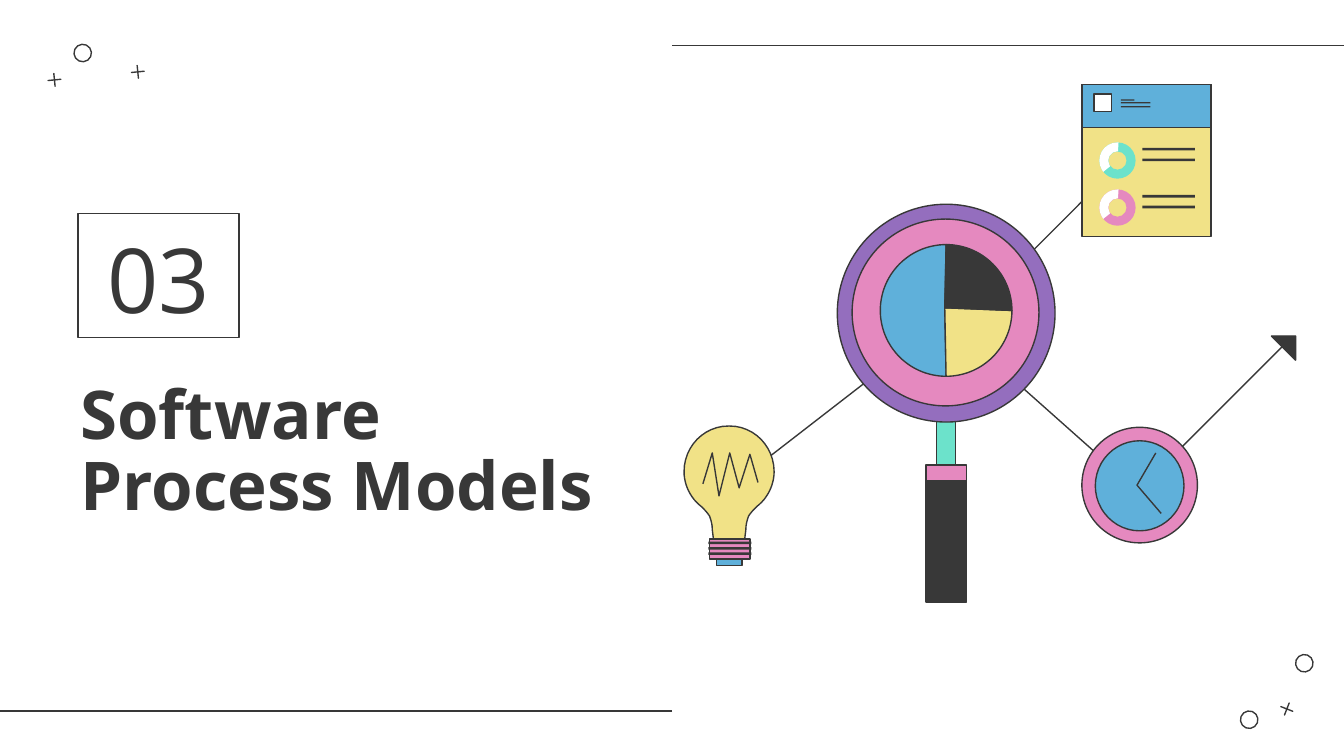
from dataclasses import dataclass
from math import cos, radians, sin
from typing import Optional

from lxml import etree
from pptx import Presentation
from pptx.dml.color import RGBColor
from pptx.enum.shapes import MSO_CONNECTOR, MSO_SHAPE
from pptx.enum.text import MSO_ANCHOR, PP_ALIGN
from pptx.oxml.ns import qn
from pptx.util import Emu, Pt

PX = 9144  # EMU per px, 100 px to the inch
FONT = "Open Sans"
LINE_WIDTH = Pt(0.75)

DARK = RGBColor(0x38, 0x38, 0x38)
WHITE = RGBColor(0xFF, 0xFF, 0xFF)
BLUE = RGBColor(0x5F, 0xB0, 0xDA)
PINK = RGBColor(0xE5, 0x89, 0xBF)
PURPLE = RGBColor(0x94, 0x6E, 0xBE)
YELLOW = RGBColor(0xF1, 0xE2, 0x87)
MINT = RGBColor(0x6C, 0xE2, 0xCB)

RECT = MSO_SHAPE.RECTANGLE
OVAL = MSO_SHAPE.OVAL
PLUS = MSO_SHAPE.MATH_PLUS
DONUT = MSO_SHAPE.DONUT
ARC = MSO_SHAPE.BLOCK_ARC
STRAIGHT = MSO_CONNECTOR.STRAIGHT
BOTTOM = MSO_ANCHOR.BOTTOM
LEFT, CENTER = PP_ALIGN.LEFT, PP_ALIGN.CENTER

Point = tuple[float, float]


@dataclass
class Part:
    kind: int
    x: int
    y: int
    w: int
    h: int
    fill: Optional[RGBColor] = None
    outlined: bool = True
    rotation: float = 0
    adjustments: tuple[float, ...] = ()


def px(n: float) -> Emu:
    return Emu(round(n * PX))


def paint(sp, fill: Optional[RGBColor], outlined: bool = True) -> None:
    sp.shadow.inherit = False
    if fill is None:
        sp.fill.background()
    else:
        sp.fill.solid()
        sp.fill.fore_color.rgb = fill
    if outlined:
        sp.line.color.rgb = DARK
        sp.line.width = LINE_WIDTH
    else:
        sp.line.fill.background()


def draw(shapes, *parts: Part):
    for part in parts:
        sp = shapes.add_shape(part.kind, px(part.x), px(part.y), px(part.w), px(part.h))
        sp.rotation = part.rotation
        for i, value in enumerate(part.adjustments):
            sp.adjustments[i] = value
        paint(sp, part.fill, part.outlined)
    return sp


def draw_line(shapes, x1: int, y1: int, x2: int, y2: int) -> None:
    line = shapes.add_connector(STRAIGHT, px(x1), px(y1), px(x2), px(y2))
    line.line.color.rgb = DARK
    line.line.width = LINE_WIDTH
    etree.SubElement(line._element.spPr, qn("a:effectLst"))


def draw_path(shapes, points: list[Point], fill: Optional[RGBColor] = None) -> None:
    """Closed when filled, otherwise an open stroke."""
    scaled = [(px(x), px(y)) for x, y in points]
    builder = shapes.build_freeform(*scaled[0], scale=1.0)
    builder.add_line_segments(scaled[1:], close=fill is not None)
    paint(builder.convert_to_shape(), fill)


def arc(cx: int, cy: int, r: int, start: int, end: int) -> list[Point]:
    return [(cx + r * cos(radians(a)), cy + r * sin(radians(a)))
            for a in range(start, end + 1, 3)]


def curve(a: Point, b: Point, c: Point, d: Point) -> list[Point]:
    points = []
    for i in range(13):
        t = i / 12
        u = 1 - t
        points.append(tuple(u**3 * p + 3 * u * u * t * q + 3 * u * t * t * v + t**3 * w
                            for p, q, v, w in zip(a, b, c, d)))
    return points


def write(sp, text: str, size: int, bold: bool, align, bottom: int) -> None:
    tf = sp.text_frame
    tf.word_wrap = True
    tf.vertical_anchor = BOTTOM
    tf.margin_left = tf.margin_right = tf.margin_top = px(10)
    tf.margin_bottom = px(bottom)
    tf.text = text
    p = tf.paragraphs[0]
    p.alignment = align
    p.line_spacing = 0.88
    r = p.runs[0]
    r.font.name, r.font.size, r.font.bold = FONT, Pt(size), bold
    r.font.color.rgb = DARK


def draw_frame(shapes) -> None:
    draw_line(shapes, 1000, 34, 500, 34)
    draw_line(shapes, 500, 529, 0, 529)
    for kind, x, y, rotation in [(OVAL, 55, 33, 84.5), (PLUS, 34, 53, 84.5),
                                 (PLUS, 96, 47, 84.5), (OVAL, 923, 529, 291.4),
                                 (PLUS, 951, 521, 291.4), (OVAL, 964, 487, 291.4)]:
        draw(shapes, Part(kind, x, y, 13, 13, rotation=rotation,
                          adjustments=(0,) if kind == PLUS else ()))


def draw_magnifier(shapes) -> None:
    draw(shapes,
         Part(RECT, 697, 304, 14, 129, MINT),
         Part(RECT, 689, 358, 30, 90, DARK),
         Part(RECT, 689, 346, 30, 12, PINK),
         Part(OVAL, 623, 152, 162, 162, PURPLE),
         Part(OVAL, 634, 163, 139, 139, PINK))
    # Pie inside the lens
    for apex, start, end, fill in [((703, 231), 90, 270, BLUE),
                                   ((703, 229), 0, 90, YELLOW),
                                   ((703, 229), 270, 360, DARK)]:
        draw_path(shapes, [apex] + arc(704, 231, 49, start, end), fill)


def draw_bulb(shapes) -> None:
    middle = 542.5
    half = (curve((543, 317), (561, 317), (576, 332), (576, 351))
            + curve((576, 351), (576, 361), (571, 371), (563, 377))
            + curve((563, 377), (561, 379), (559, 381), (557, 384))
            + curve((557, 384), (556, 387), (555, 390), (555, 394))
            + [(554, 402)])
    mirrored = [(2 * middle - x, y) for x, y in reversed(half)]
    draw_path(shapes, half + mirrored, YELLOW)
    draw(shapes,
         Part(RECT, 533, 415, 19, 6, BLUE),
         Part(RECT, 528, 401, 30, 15, PINK),
         *(Part(RECT, 527, y, 32, 2, DARK, False) for y in (403, 407, 411)))
    draw_path(shapes, [(523, 360), (530, 337), (535, 369), (543, 337),
                       (550, 363), (558, 338), (564, 359)])


def draw_clock(shapes) -> None:
    draw(shapes,
         Part(OVAL, 805, 318, 86, 86, PINK),
         Part(OVAL, 815, 328, 66, 67, BLUE))
    draw_path(shapes, [(860, 337), (846, 361), (864, 382)])


def draw_report(shapes) -> None:
    draw(shapes,
         Part(RECT, 805, 63, 96, 113, YELLOW),
         Part(RECT, 805, 63, 96, 32, BLUE),
         Part(RECT, 834, 74, 10, 1, DARK, False),
         Part(RECT, 834, 76, 22, 1, DARK, False),
         Part(RECT, 834, 79, 22, 1, DARK, False),
         Part(RECT, 814, 70, 13, 13, WHITE))
    for y, color in ((106, MINT), (141, PINK)):
        draw(shapes,
             Part(DONUT, 818, y, 27, 27, color, False, adjustments=(0.25,)),
             Part(ARC, 818, y, 27, 27, WHITE, False, adjustments=(84.95, 164, 0.245)),
             Part(RECT, 850, y + 4, 39, 2, DARK, False),
             Part(RECT, 850, y + 12, 39, 2, DARK, False))


def main() -> None:
    prs = Presentation()
    prs.slide_width, prs.slide_height = px(1000), px(562.5)
    shapes = prs.slides.add_slide(prs.slide_layouts[6]).shapes

    draw_frame(shapes)

    # Section title and number
    title = shapes.add_textbox(px(50), px(198), px(431), px(197))
    write(title, "Software Process Models", 36, True, LEFT, 5)
    number = draw(shapes, Part(RECT, 58, 159, 120, 92))
    write(number, "03", 48, False, CENTER, 4)

    # Links between the icons, with the arrow tip
    draw_line(shapes, 745, 210, 822, 133)
    draw_line(shapes, 849, 363, 955, 257)
    draw_path(shapes, [(540, 365), (704, 238), (848, 366)])
    draw_path(shapes, [(964, 250), (946, 250), (964, 268)], DARK)

    draw_magnifier(shapes)
    draw_bulb(shapes)
    draw_clock(shapes)
    draw_report(shapes)
    prs.save("out.pptx")


if __name__ == "__main__":
    main()
